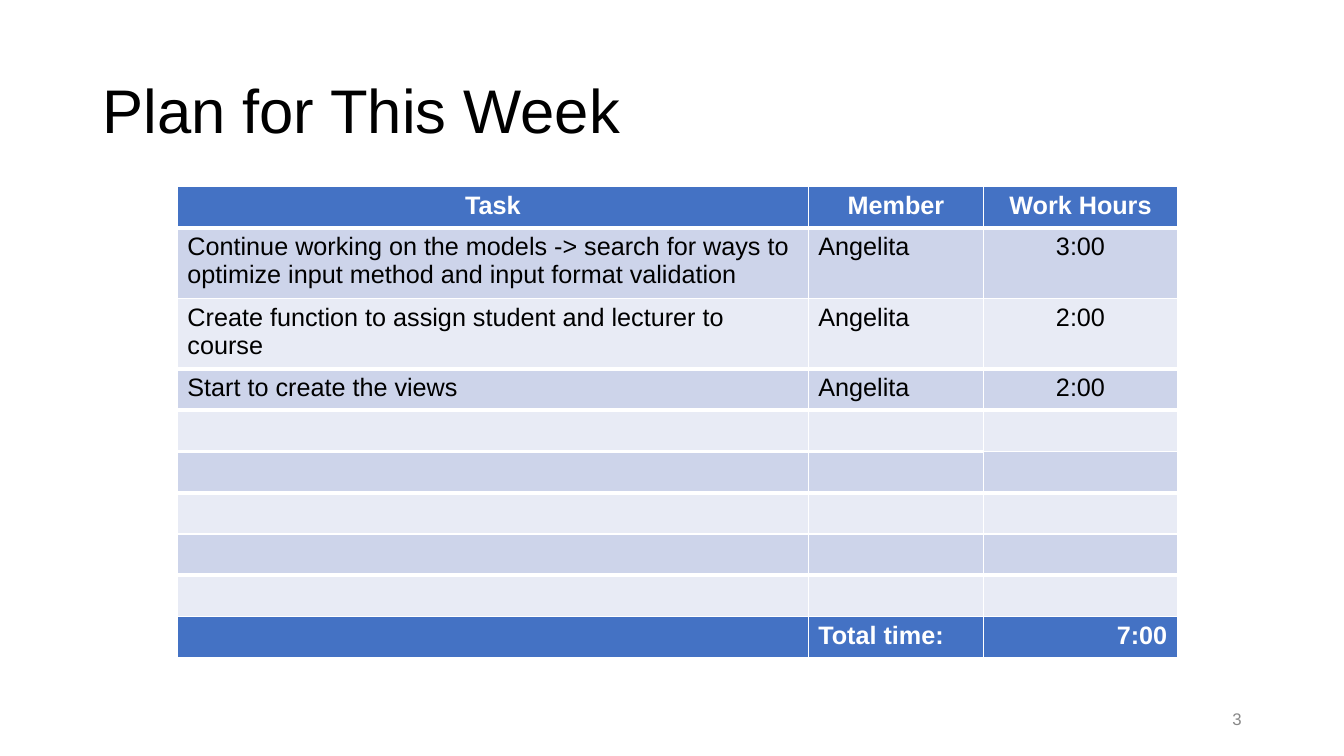
from lxml.etree import SubElement
from pptx import Presentation
from pptx.dml.color import RGBColor
from pptx.enum.text import MSO_ANCHOR as Anchor, PP_ALIGN as Align
from pptx.oxml.ns import qn
from pptx.util import Cm, Pt

BLUE, DARK_BAND, LIGHT_BAND = "4472C4", "CDD4EA", "E8EBF5"
WHITE, BLACK, GREY = "FFFFFF", "000000", "888888"
THIN, THICK = 1, 3

HEADINGS = ("Task", "Member", "Work Hours")
TASKS = [
    ("Continue working on the models -> search for ways to optimize input method "
     "and input format validation", "Angelita", "3:00"),
    ("Create function to assign student and lecturer to course", "Angelita", "2:00"),
    ("Start to create the views", "Angelita", "2:00"),
]
EMPTY_ROWS = 5
TOTALS = ("", "Total time:", "7:00")
COLUMN_WIDTHS = (15.9, 4.42, 4.88)
ROW_HEIGHT = 1.04
# Width of the rule above each row, then of the one below the last row
RULES = (THIN, THICK, THIN, THICK, THICK, THICK, THICK, THIN, THICK, THIN, THIN)


def color(value):
    return RGBColor.from_string(value)


class PlanPage:
    font = "Arial"

    def __init__(self, deck):
        self.page = deck.slides.add_slide(deck.slide_layouts[6])

    def style(self, para, size, ink, bold=False, align=Align.LEFT):
        para.alignment = align
        for span in para.runs:
            span.font.name = self.font
            span.font.size = Pt(size)
            span.font.bold = bold
            span.font.color.rgb = color(ink)

    def text(self, words, left, top, width, height, size, ink, align=Align.LEFT):
        box = self.page.shapes.add_textbox(Cm(left), Cm(top), Cm(width), Cm(height))
        frame = box.text_frame
        frame.word_wrap = True
        frame.vertical_anchor = Anchor.MIDDLE
        frame.text = words
        para = frame.paragraphs[0]
        para.line_spacing = 0.9
        self.style(para, size, ink, align=align)

    def borders(self, cell, above, below):
        """Draw white borders, which must stand before the fill in the XML."""
        properties = cell._tc.get_or_add_tcPr()
        sides = {"a:lnL": THIN, "a:lnR": THIN, "a:lnT": above, "a:lnB": below}
        for place, (side, width) in enumerate(sides.items()):
            line = SubElement(properties, qn(side), w=str(Pt(width)))
            fill = SubElement(line, qn("a:solidFill"))
            SubElement(fill, qn("a:srgbClr"), val=WHITE)
            properties.insert(place, line)

    def table(self, rows, left, top):
        table = self.page.shapes.add_table(
            len(rows), len(COLUMN_WIDTHS), Cm(left), Cm(top),
            Cm(sum(COLUMN_WIDTHS)), Cm(ROW_HEIGHT * len(rows))).table
        for column, width in zip(table.columns, COLUMN_WIDTHS):
            column.width = Cm(width)
        last = len(rows) - 1
        for r, words in enumerate(rows):
            table.rows[r].height = Cm(ROW_HEIGHT)
            strong = r in (0, last)
            band = BLUE if strong else DARK_BAND if r % 2 else LIGHT_BAND
            for c, word in enumerate(words):
                cell = table.cell(r, c)
                cell.text_frame.text = word
                align = Align.LEFT
                if r == last and c == 2:
                    align = Align.RIGHT
                elif r == 0 or c == 2:
                    align = Align.CENTER
                self.style(cell.text_frame.paragraphs[0], 18,
                           WHITE if strong else BLACK, strong, align)
                cell.fill.solid()
                cell.fill.fore_color.rgb = color(band)
                above, below = RULES[r], RULES[r + 1]
                # The hours column has a thin rule between the first two empty rows
                if c == 2 and r == 4:
                    below = THIN
                if c == 2 and r == 5:
                    above = THIN
                self.borders(cell, above, below)


def main():
    deck = Presentation()
    deck.slide_width, deck.slide_height = Cm(33.87), Cm(19.05)
    plan = PlanPage(deck)
    plan.text("Plan for This Week", 2.33, 1.01, 29.21, 3.68, 44, BLACK)
    plan.table([HEADINGS, *TASKS, *[("", "", "")] * EMPTY_ROWS, TOTALS], 4.47, 4.7)
    plan.text("3", 23.92, 17.65, 7.62, 1.01, 12, GREY, Align.RIGHT)
    deck.save("out.pptx")


if __name__ == "__main__":
    main()
